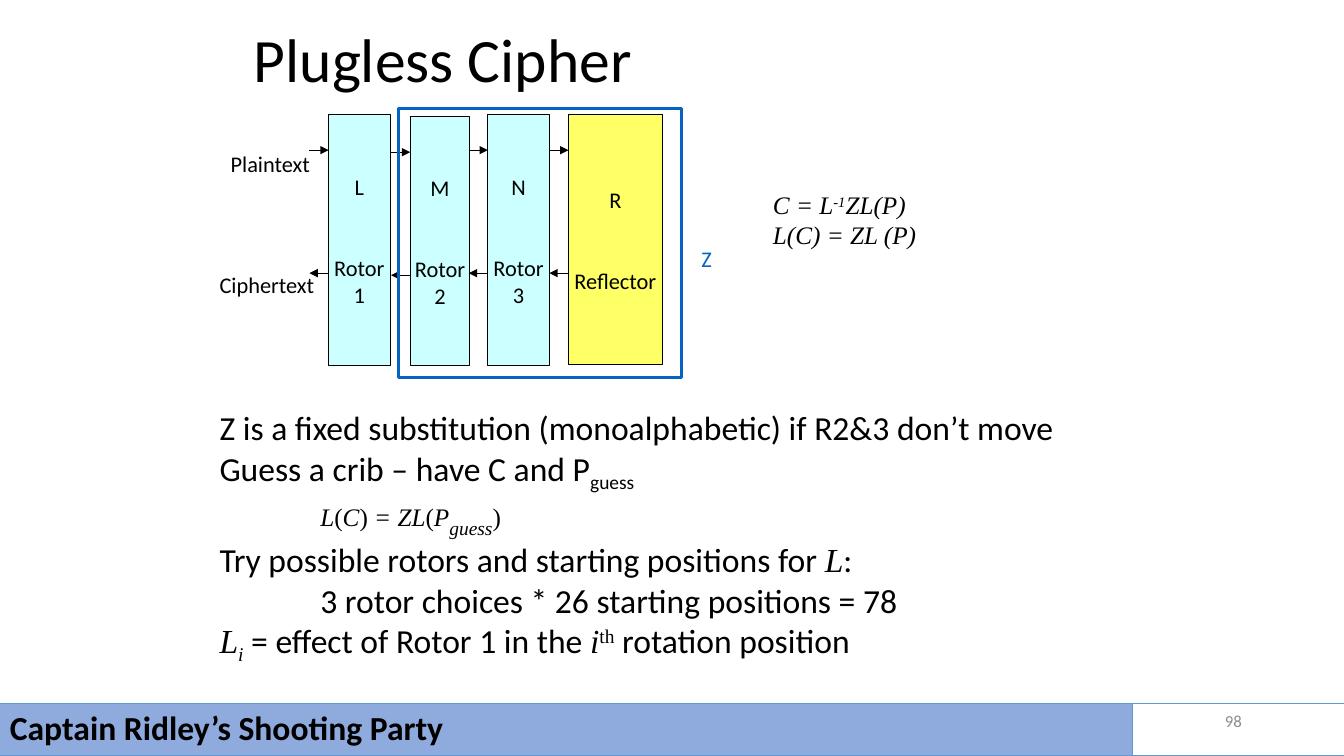
from pptx import Presentation
from pptx.dml.color import RGBColor
from pptx.enum.shapes import MSO_CONNECTOR, MSO_SHAPE
from pptx.enum.text import MSO_ANCHOR, PP_ALIGN
from pptx.oxml.ns import qn
from pptx.util import Pt
from lxml import etree

PX = 9144  # 100 px to the inch
STRAIGHT, RECT = MSO_CONNECTOR.STRAIGHT, MSO_SHAPE.RECTANGLE
TOP, MIDDLE = MSO_ANCHOR.TOP, MSO_ANCHOR.MIDDLE
LEFT, CENTER, RIGHT = PP_ALIGN.LEFT, PP_ALIGN.CENTER, PP_ALIGN.RIGHT

BLACK = RGBColor(0x00, 0x00, 0x00)
GRAY = RGBColor(0x8C, 0x8C, 0x8C)
CYAN = RGBColor(0xCC, 0xFF, 0xFF)
YELLOW = RGBColor(0xFF, 0xFF, 0x66)
BLUE = RGBColor(0x05, 0x63, 0xC1)
BAR_FILL = RGBColor(0x8F, 0xAA, 0xDC)
BAR_LINE = RGBColor(0x5B, 0x9B, 0xD5)

# Run formats
SUB = {"base": -25}
MATH = {"font": "Times New Roman", "italic": True}
MATH_SUB = {**MATH, **SUB}
MATH_SUP = {**MATH, "base": 30}
TH = {"font": "Times New Roman", "base": 30}
EQ = {**MATH, "size": 18}
EQ_UPRIGHT = {**EQ, "italic": False}

# A paragraph is a string or a list of strings and (string, format) runs.
TITLE = ["Plugless Cipher"]
FORMULA = [[("C = L", MATH), ("-1", MATH_SUP), ("ZL(P)", MATH)],
           [("L(C) = ZL (P)", MATH)]]
BODY = [
    "Z is a fixed substitution (monoalphabetic) if R2&3 don’t move",
    ["Guess a crib – have C and P", ("guess", SUB)],
    [("L", EQ), ("(", EQ_UPRIGHT), ("C", EQ), (")", EQ_UPRIGHT), (" = ZL", EQ),
     ("(", EQ_UPRIGHT), ("P", EQ), ("guess", MATH_SUB), (")", EQ_UPRIGHT)],
    ["Try possible rotors and starting positions for ", ("L", MATH), ":"],
    "3 rotor choices * 26 starting positions = 78",
    [("L", MATH), ("i", MATH_SUB), " = effect of Rotor 1 in the ", ("i", MATH),
     ("th", TH), " rotation position"],
]
BODY_INDENTED = (2, 4)

# Left, top, width, height, fill, lines
BLOCKS = [
    (326, 114, 61, 249, CYAN, ["L", "Rotor", "1"]),
    (407, 116, 59, 247, CYAN, ["M", "Rotor", "2"]),
    (484, 114, 61, 249, CYAN, ["N", "Rotor", "3"]),
    (564, 114, 93, 248, YELLOW, ["R", "Reflector"]),
]
NAME_GAP = Pt(39)  # two 16 pt lines
ARROW_LEN, FORWARD_DY, BACK_DY = 19, 35, 157

# Left, top, width, height, colour, text
LABELS = [
    (219, 144, 100, 37, BLACK, "Plaintext"),
    (208, 264, 115, 37, BLACK, "Ciphertext"),
    (686, 238, 31, 37, BLUE, "Z"),
]

prs = Presentation()
prs.slide_width, prs.slide_height = 12192000, 6858000
s = prs.slides.add_slide(prs.slide_layouts[6])


def box(*place):
    return s.shapes.add_textbox(*(v * PX for v in place))


def rect(*place, fill=None, line=BLACK, width=0.75):
    sp = s.shapes.add_shape(RECT, *(v * PX for v in place))
    sp.shadow.inherit = False
    if fill is None:
        sp.fill.background()
    else:
        sp.fill.solid()
        sp.fill.fore_color.rgb = fill
    sp.line.color.rgb = line
    sp.line.width = Pt(width)
    return sp


def write(sp, paragraphs, size=16, color=BLACK, bold=False, align=LEFT,
          anchor=TOP, wrap=False, spacing=None):
    tf = sp.text_frame
    tf.word_wrap, tf.vertical_anchor = wrap, anchor
    for i, runs in enumerate(paragraphs):
        p = tf.add_paragraph() if i else tf.paragraphs[0]
        p.alignment = align
        if spacing:
            p.line_spacing = spacing
        for run in [runs] if isinstance(runs, str) else runs:
            text, fmt = (run, {}) if isinstance(run, str) else run
            r = p.add_run()
            r.text = text
            r.font.name = fmt.get("font", "Calibri")
            r.font.size = Pt(fmt.get("size", size))
            r.font.italic = fmt.get("italic", False)
            r.font.bold = bold
            r.font.color.rgb = color
            if "base" in fmt:
                r.font._element.set("baseline", str(fmt["base"] * 1000))
    return tf.paragraphs


def arrow(x1, x2, y):
    c = s.shapes.add_connector(STRAIGHT, x1 * PX, y * PX, x2 * PX, y * PX)
    c.line.color.rgb = BLACK
    c.line.width = Pt(0.75)
    etree.SubElement(c.line._get_or_add_ln(), qn("a:tailEnd"), type="triangle")
    etree.SubElement(c._element.spPr, qn("a:effectLst"))


write(box(242, 0, 850, 125), TITLE, size=44, anchor=MIDDLE, wrap=True, spacing=0.9)
write(box(757, 183, 164, 71), FORMULA, size=18)

for x, y, w, h, fill, lines in BLOCKS:
    ps = write(rect(x, y, w, h, fill=fill), lines, align=CENTER, anchor=MIDDLE)
    ps[1].space_before = NAME_GAP
for x, y, *_ in BLOCKS:
    arrow(x - ARROW_LEN, x, y + FORWARD_DY)
    arrow(x, x - ARROW_LEN, y + BACK_DY)

rect(395, 108, 281, 267, line=BLUE, width=2.25)
for *place, color, text in LABELS:
    write(box(*place), [text], color=color)

ps = write(box(208, 399, 856, 242), BODY, size=24, wrap=True)
for i in BODY_INDENTED:
    ps[i]._p.get_or_add_pPr().set("marL", str(100 * PX))

write(box(942, 695, 300, 40), ["98"], size=12, color=GRAY, align=RIGHT,
      anchor=MIDDLE, wrap=True)
write(rect(0, 698, 1124, 52, fill=BAR_FILL, line=BAR_LINE),
      ["Captain Ridley’s Shooting Party"], size=24, bold=True, anchor=MIDDLE,
      wrap=True, spacing=0.9)
rect(1124, 698, 210, 52, line=BAR_LINE)

prs.save("out.pptx")
